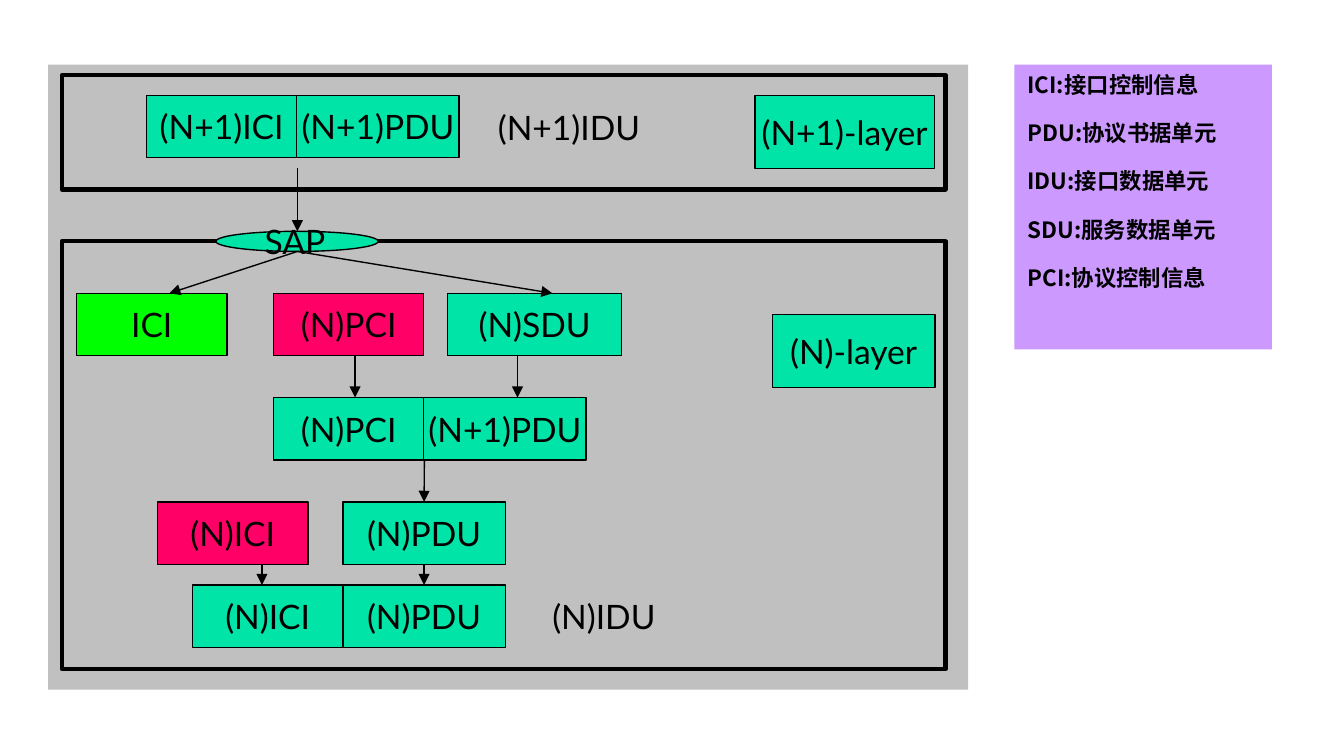
import pptx
import pptx.util
import pptx.dml.color
import pptx.enum.shapes
import pptx.enum.text
import pptx.oxml.ns
import lxml.etree

Cm, Pt = pptx.util.Cm, pptx.util.Pt
SHAPE = pptx.enum.shapes.MSO_SHAPE
ALIGN = pptx.enum.text.PP_ALIGN
ANCHOR = pptx.enum.text.MSO_ANCHOR
qn = pptx.oxml.ns.qn


class Theme:
    ink, panel, legend = "000000", "C0C0C0", "CC99FF"
    data, control, interface = "00E4A8", "FF0066", "00FF00"
    label_font, legend_font = "Lato", "Noto Sans CJK SC"
    label_size, legend_size = 18, 12
    frame_line, box_line = 2.25, 0.75


# All lengths are in centimetres.
LEGEND = ["ICI:接口控制信息", "PDU:协议书据单元", "IDU:接口数据单元",
          "SDU:服务数据单元", "PCI:协议控制信息"]
LEGEND_AREA = (19.17, 1.22, 4.87, 5.38)
PANEL_AREA = (0.91, 1.22, 17.39, 11.81)
FRAMES = [(1.17, 1.42, 16.7, 2.16), (1.17, 4.56, 16.7, 8.08)]

UNIT_HEIGHT, LAYER_HEIGHT = 1.18, 1.38
ICI_WIDTH, PDU_WIDTH, SDU_WIDTH = 2.84, 3.07, 3.29
UPPER, SPLIT, JOINED, PASSED, LOWER = 1.8, 5.54, 7.51, 9.48, 11.05

# key: (text, left, top, width, height, fill)
BOXES = {
    "upper ICI": ("(N+1)ICI", 2.77, UPPER, ICI_WIDTH, UNIT_HEIGHT, Theme.data),
    "upper PDU": ("(N+1)PDU", 5.61, UPPER, PDU_WIDTH, UNIT_HEIGHT, Theme.data),
    "ICI": ("ICI", 1.45, SPLIT, ICI_WIDTH, UNIT_HEIGHT, Theme.interface),
    "PCI": ("(N)PCI", 5.17, SPLIT, ICI_WIDTH, UNIT_HEIGHT, Theme.control),
    "SDU": ("(N)SDU", 8.46, SPLIT, SDU_WIDTH, UNIT_HEIGHT, Theme.data),
    "joined PCI": ("(N)PCI", 5.17, JOINED, ICI_WIDTH, UNIT_HEIGHT, Theme.data),
    "joined PDU": ("(N+1)PDU", 8.01, JOINED, PDU_WIDTH, UNIT_HEIGHT, Theme.data),
    "new ICI": ("(N)ICI", 2.98, PASSED, ICI_WIDTH, UNIT_HEIGHT, Theme.control),
    "PDU": ("(N)PDU", 6.48, PASSED, PDU_WIDTH, UNIT_HEIGHT, Theme.data),
    "lower ICI": ("(N)ICI", 3.64, LOWER, ICI_WIDTH, UNIT_HEIGHT, Theme.data),
    "lower PDU": ("(N)PDU", 6.48, LOWER, PDU_WIDTH, UNIT_HEIGHT, Theme.data),
    "upper layer": ("(N+1)-layer", 14.27, UPPER, 3.39, LAYER_HEIGHT, Theme.data),
    "layer": ("(N)-layer", 14.6, 5.94, PDU_WIDTH, LAYER_HEIGHT, Theme.data),
}
# text, left, top, width, height
IDU_LABELS = [("(N+1)IDU", 8.89, 2.0, 3.73, 0.79),
              ("(N)IDU", 9.55, 11.25, 3.73, 0.79)]
SAP_AREA = (4.08, 4.37, 3.07, 0.38)
SAP_LABEL_AREA = (4.75, 4.04, 2.03, 1.02)
SAP_X, SAP_TOP, SAP_BOTTOM = 5.62, 4.37, 4.75

# start x, start y, end x, end y, box joined at start, box joined at end
ARROWS = [
    (SAP_X, 3.18, SAP_X, SAP_TOP, None, None),
    (SAP_X, SAP_BOTTOM, 3.2, SPLIT, None, None),
    (SAP_X, SAP_BOTTOM, 10.44, SPLIT, None, None),
    (6.71, SPLIT + UNIT_HEIGHT, 6.71, JOINED, None, None),
    (9.78, SPLIT + UNIT_HEIGHT, 9.78, JOINED, None, None),
    (8.02, JOINED + UNIT_HEIGHT, 8.02, PASSED, None, "PDU"),
    (4.95, PASSED + UNIT_HEIGHT, 4.95, LOWER, None, None),
    (8.02, PASSED + UNIT_HEIGHT, 8.02, LOWER, "PDU", "lower PDU"),
]


def rgb(value):
    return pptx.dml.color.RGBColor.from_string(value)


def add_block(slide, area, kind=SHAPE.RECTANGLE, fill=None, line=None):
    block = slide.shapes.add_shape(kind, *map(Cm, area))
    block.shadow.inherit = False
    if fill:
        block.fill.solid()
        block.fill.fore_color.rgb = rgb(fill)
    else:
        block.fill.background()
    if line:
        block.line.color.rgb = rgb(Theme.ink)
        block.line.width = Pt(line)
    else:
        block.line.fill.background()
    return block


def write(shape, *lines, font=Theme.label_font, size=Theme.label_size, bold=False,
          align=ALIGN.CENTER, anchor=ANCHOR.MIDDLE, wrap=False, gap=0):
    frame = shape.text_frame
    frame.word_wrap = wrap
    frame.vertical_anchor = anchor
    for index, line in enumerate(lines):
        para = frame.paragraphs[0] if index == 0 else frame.add_paragraph()
        para.alignment = align
        if index:
            para.space_before = Pt(gap)
        span = para.add_run()
        span.text = line
        span.font.name = font
        span.font.size = Pt(size)
        span.font.bold = bold
        span.font.color.rgb = rgb(Theme.ink)
        east_asian = lxml.etree.Element(qn("a:ea"), typeface=font)
        span.font._element.find(qn("a:latin")).addnext(east_asian)


def add_arrow(slide, ends, source=None, target=None):
    arrow = slide.shapes.add_connector(
        pptx.enum.shapes.MSO_CONNECTOR.STRAIGHT, *map(Cm, ends))
    if source:
        arrow.begin_connect(source, 2)
    if target:
        arrow.end_connect(target, 0)
    arrow.line.color.rgb = rgb(Theme.ink)
    arrow.line.width = Pt(Theme.box_line)
    lxml.etree.SubElement(arrow.line._get_or_add_ln(), qn("a:tailEnd"), type="triangle")
    lxml.etree.SubElement(arrow._element.spPr, qn("a:effectLst"))


def main():
    deck = pptx.Presentation()
    deck.slide_width, deck.slide_height = Cm(25.4), Cm(14.28)
    slide = deck.slides.add_slide(deck.slide_layouts[6])

    legend = add_block(slide, LEGEND_AREA, fill=Theme.legend)
    write(legend, *LEGEND, font=Theme.legend_font, size=Theme.legend_size, bold=True,
          align=ALIGN.LEFT, anchor=ANCHOR.TOP, wrap=True, gap=11.4)

    add_block(slide, PANEL_AREA, fill=Theme.panel)
    for area in FRAMES:
        add_block(slide, area, line=Theme.frame_line)
    add_block(slide, SAP_AREA, SHAPE.OVAL, Theme.data, Theme.box_line)

    boxes = {}
    for key, (text, *area, fill) in BOXES.items():
        boxes[key] = add_block(slide, area, fill=fill, line=Theme.box_line)
        write(boxes[key], text)
    for *ends, source, target in ARROWS:
        add_arrow(slide, ends, boxes.get(source), boxes.get(target))

    for text, *area in IDU_LABELS:
        write(slide.shapes.add_textbox(*map(Cm, area)), text)
    sap_label = slide.shapes.add_textbox(*map(Cm, SAP_LABEL_AREA))
    write(sap_label, "SAP", align=ALIGN.LEFT, anchor=ANCHOR.TOP, wrap=True)

    deck.save("out.pptx")


if __name__ == "__main__":
    main()
